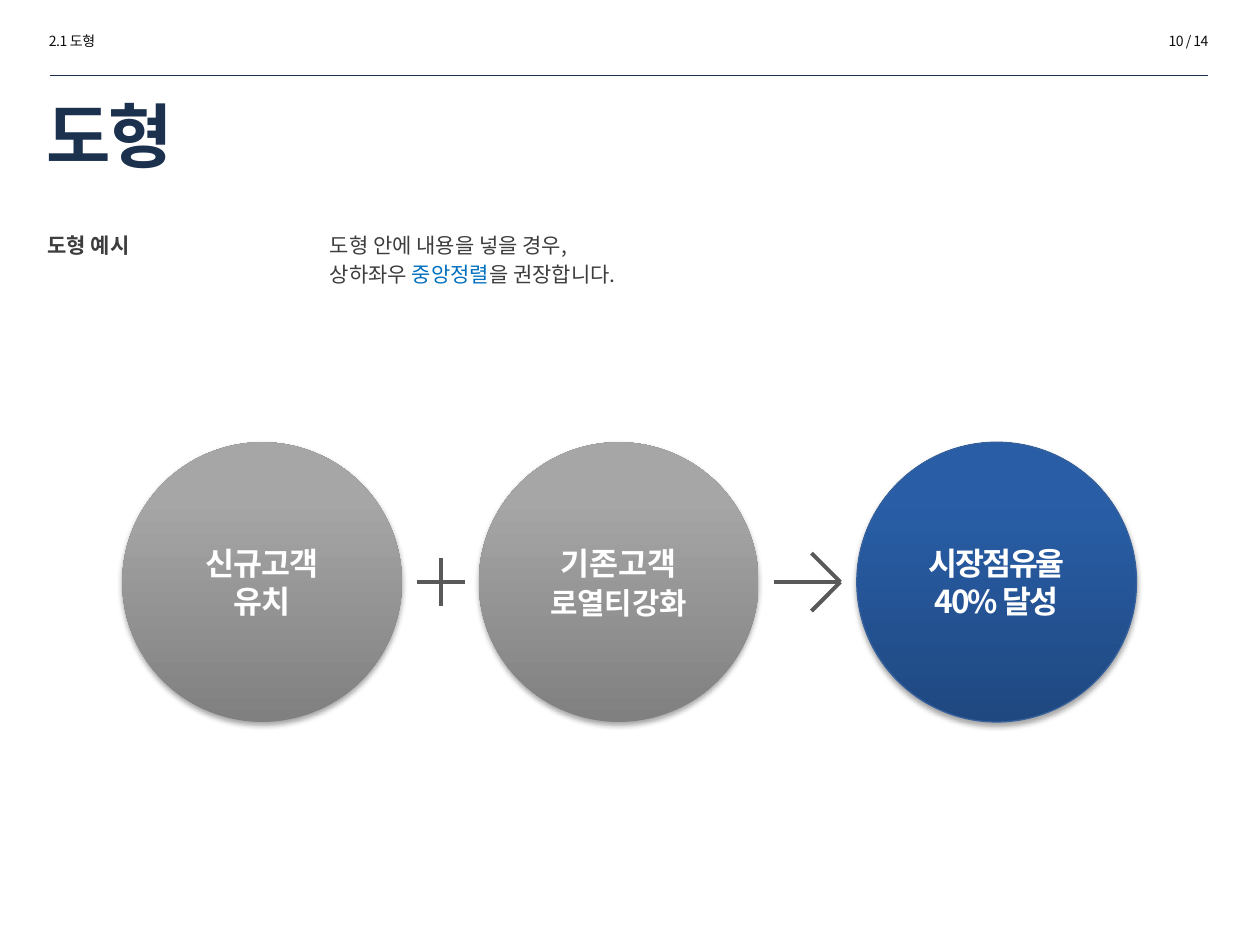
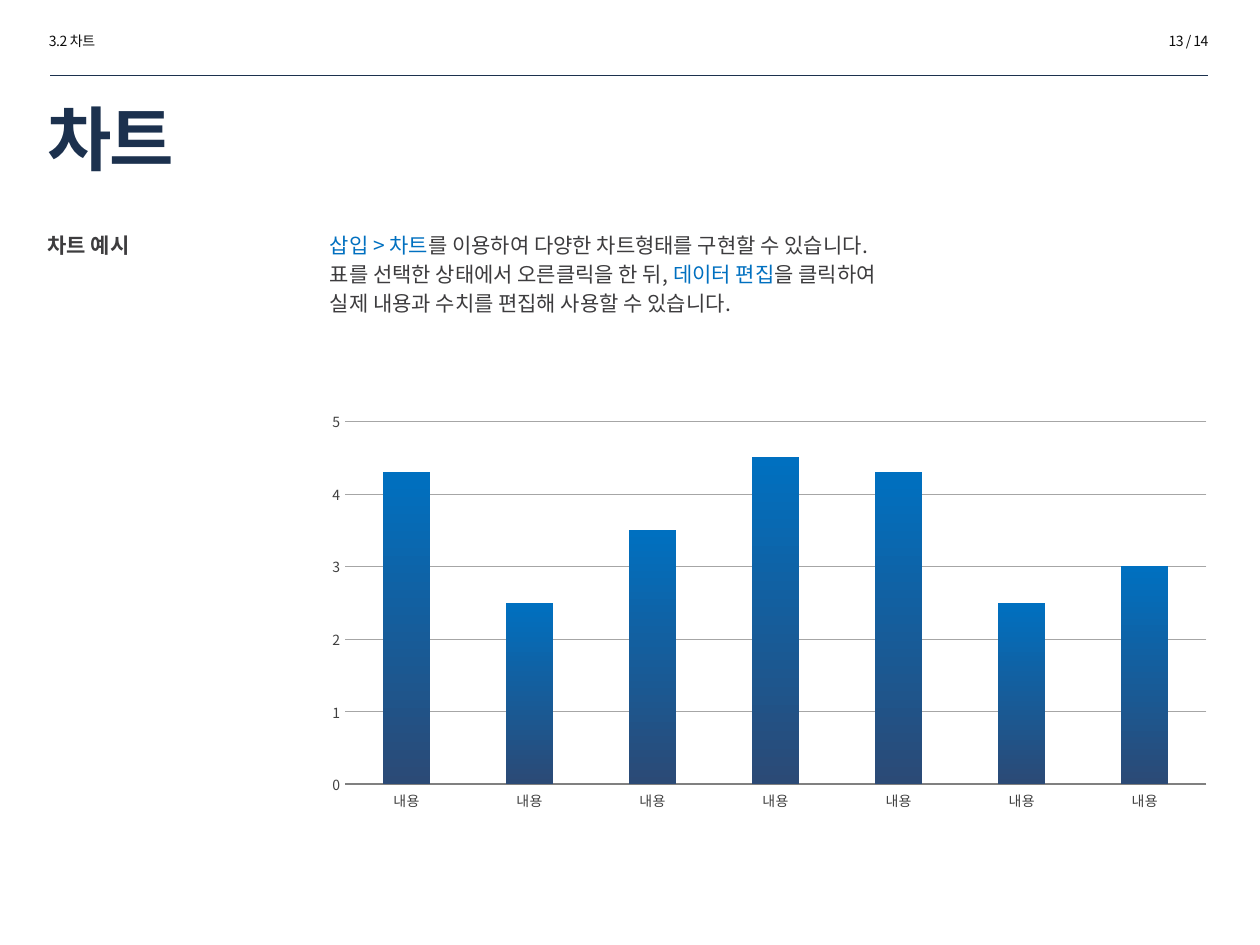
import pptx
import pptx.chart.data
import pptx.dml.color
import pptx.enum.chart
import pptx.enum.shapes
import pptx.enum.text
import pptx.oxml
import pptx.oxml.ns
import pptx.util
from lxml import etree

Inches = pptx.util.Inches
Pt = pptx.util.Pt
RGBColor = pptx.dml.color.RGBColor
Align = pptx.enum.text.PP_ALIGN
qn = pptx.oxml.ns.qn

FONT = "Noto Sans CJK KR"
NAVY = RGBColor(0x1C, 0x31, 0x4E)
BODY = RGBColor(0x3D, 0x3C, 0x3E)
ACCENT = RGBColor(0x00, 0x70, 0xC0)
HEADER = RGBColor(0x0D, 0x0D, 0x0D)
SIGN = RGBColor(0x59, 0x59, 0x59)
WHITE = RGBColor(0xFF, 0xFF, 0xFF)
GRAY_DARK = RGBColor(0x80, 0x80, 0x80)
GRAY_LIGHT = RGBColor(0xA6, 0xA6, 0xA6)
BLUE_DARK = RGBColor(0x1F, 0x48, 0x80)
BLUE_LIGHT = RGBColor(0x29, 0x5E, 0xA7)
BLUE_LINE = RGBColor(0x35, 0x60, 0x9C)
BAR_BOTTOM = RGBColor(0x2B, 0x4A, 0x76)
AXIS_TEXT = RGBColor(0x40, 0x40, 0x40)

CIRCLE_TOP = 3.51
CIRCLE_SIZE = 2.22
MIDDLE = CIRCLE_TOP + CIRCLE_SIZE / 2

SHADOW = (
    '<a:effectLst xmlns:a="http://schemas.openxmlformats.org/drawingml/2006/main">'
    '<a:outerShdw blurRad="39400" dist="22900" dir="5400000" rotWithShape="0">'
    '<a:srgbClr val="000000"><a:alpha val="35000"/></a:srgbClr>'
    '</a:outerShdw></a:effectLst>'
)
PLOT_LAYOUT = (
    '<c:layout xmlns:c="http://schemas.openxmlformats.org/drawingml/2006/chart">'
    '<c:manualLayout><c:layoutTarget val="inner"/>'
    '<c:xMode val="edge"/><c:yMode val="edge"/>'
    '<c:x val="0.047"/><c:y val="0.044"/><c:w val="0.944"/><c:h val="0.83"/>'
    '</c:manualLayout></c:layout>'
)


def set_gradient(fill, first, last, last_position, angle):
    fill.gradient()
    fill.gradient_angle = angle
    start, end = fill.gradient_stops
    start.color.rgb, start.position = first, 0
    end.color.rgb, end.position = last, last_position


def set_axis_font(axis):
    axis.major_tick_mark = pptx.enum.chart.XL_TICK_MARK.NONE
    axis.minor_tick_mark = pptx.enum.chart.XL_TICK_MARK.NONE
    font = axis.tick_labels.font
    font.name, font.size, font.color.rgb = FONT, Pt(8), AXIS_TEXT


class Deck:
    def __init__(self):
        self.presentation = pptx.Presentation()
        self.presentation.slide_width = Inches(10)
        self.presentation.slide_height = Inches(7.5)
        self.slide = None

    def add_slide(self, section, page, title, title_box):
        layout = self.presentation.slide_layouts[5]
        self.slide = self.presentation.slides.add_slide(layout)
        self.add_text((0.29, 0.21, 1.73, 0.24), [section], 8, HEADER, spacing=-0.3)
        self.add_text((7.96, 0.21, 1.73, 0.24), [page], 8, HEADER, spacing=-0.3, align=Align.RIGHT)
        self.add_line((0.4, 0.6), (9.59, 0.6), NAVY, 0.25)
        shape = self.slide.shapes.title
        shape.left, shape.top, shape.width, shape.height = map(Inches, title_box)
        shape.text_frame.vertical_anchor = pptx.enum.text.MSO_ANCHOR.MIDDLE
        paragraph = shape.text_frame.paragraphs[0]
        paragraph.add_run().text = title
        self.format_paragraph(paragraph, 40, NAVY, True, -1.5, Align.LEFT)

    def format_paragraph(self, paragraph, size, color, bold=False, spacing=0, align=Align.LEFT):
        paragraph.alignment = align
        font = paragraph.font
        font.name, font.size, font.bold, font.color.rgb = FONT, Pt(size), bold, color
        properties = paragraph._p.get_or_add_pPr().get_or_add_defRPr()
        properties.set("spc", str(round(spacing * 100)))
        etree.SubElement(properties, qn("a:ea")).set("typeface", FONT)

    def add_text(self, box, lines, size, color, bold=False, spacing=0, align=Align.LEFT):
        frame = self.slide.shapes.add_textbox(*map(Inches, box)).text_frame
        frame.word_wrap = True
        for index, line in enumerate(lines):
            paragraph = frame.add_paragraph() if index else frame.paragraphs[0]
            for part, text in enumerate(line.split("*")):
                if text:
                    run = paragraph.add_run()
                    run.text = text
                    if part % 2:
                        run.font.color.rgb = ACCENT
            self.format_paragraph(paragraph, size, color, bold, spacing, align)
        return frame

    def add_description(self, label, lines):
        for left, width, texts, bold in ((0.28, 2.16, [label], True), (2.52, 7.31, lines, False)):
            frame = self.add_text((left, 1.8, width, 1.39), texts, 12, BODY, bold)
            for paragraph in frame.paragraphs:
                paragraph.line_spacing = Pt(14.2)
                paragraph.space_before = Pt(2.4)

    def add_line(self, start, end, color, width):
        connector = self.slide.shapes.add_connector(
            pptx.enum.shapes.MSO_CONNECTOR.STRAIGHT, *map(Inches, start + end))
        connector.line.color.rgb = color
        connector.line.width = Pt(width)
        etree.SubElement(connector._element.spPr, qn("a:effectLst"))

    def add_circle(self, left, lines, dark, light, spacing=0, outline=None):
        shape = self.slide.shapes.add_shape(
            pptx.enum.shapes.MSO_SHAPE.OVAL, Inches(left), Inches(CIRCLE_TOP),
            Inches(CIRCLE_SIZE), Inches(CIRCLE_SIZE))
        set_gradient(shape.fill, dark, light, 0.8, 90)
        if outline:
            shape.line.color.rgb = outline
            shape.line.width = Pt(0.75)
        else:
            shape.line.fill.background()
        shape._element.spPr.append(pptx.oxml.parse_xml(SHADOW))
        frame = shape.text_frame
        frame.vertical_anchor = pptx.enum.text.MSO_ANCHOR.MIDDLE
        for index, (text, size) in enumerate(lines):
            paragraph = frame.add_paragraph() if index else frame.paragraphs[0]
            paragraph.add_run().text = text
            paragraph.line_spacing = Pt(21.7)
            self.format_paragraph(paragraph, size, WHITE, True, spacing, Align.CENTER)

    def add_plus(self, center, arm):
        self.add_line((center - arm, MIDDLE), (center + arm, MIDDLE), SIGN, 2.25)
        self.add_line((center, MIDDLE - arm), (center, MIDDLE + arm), SIGN, 2.25)

    def add_arrow(self, left, tip, head):
        self.add_line((left, MIDDLE), (tip, MIDDLE), SIGN, 2.25)
        for rise in (-head, head):
            self.add_line((tip - head, MIDDLE + rise), (tip, MIDDLE), SIGN, 2.25)

    def add_column_chart(self, box, categories, values):
        data = pptx.chart.data.CategoryChartData()
        data.categories = categories
        data.add_series("Series 1", values)
        chart = self.slide.shapes.add_chart(
            pptx.enum.chart.XL_CHART_TYPE.COLUMN_CLUSTERED, *map(Inches, box), data).chart
        chart.has_legend = False
        chart.has_title = False
        chart.font.name, chart.font.size = FONT, Pt(18)
        plot = chart.plots[0]
        plot.gap_width = 160
        plot.vary_by_categories = False
        set_gradient(plot.series[0].format.fill, ACCENT, BAR_BOTTOM, 1, 270)
        set_axis_font(chart.category_axis)
        chart.category_axis.format.line.color.rgb = GRAY_DARK
        chart.category_axis.format.line.width = Pt(0.75)
        axis = chart.value_axis
        set_axis_font(axis)
        axis.minimum_scale, axis.maximum_scale, axis.major_unit = 0, 5, 1
        axis.format.line.fill.background()
        axis.major_gridlines.format.line.color.rgb = GRAY_LIGHT
        axis.major_gridlines.format.line.width = Pt(0.25)
        plot_area = chart._chartSpace.chart.plotArea
        for layout in plot_area.findall(qn("c:layout")):
            plot_area.remove(layout)
        plot_area.insert(0, pptx.oxml.parse_xml(PLOT_LAYOUT))


def main():
    deck = Deck()

    deck.add_slide("2.1 도형", "10 / 14", "도형", (0.27, 0.6, 9.28, 0.94))
    deck.add_description("도형 예시", [
        "도형 안에 내용을 넣을 경우,",
        "상하좌우 *중앙정렬*을 권장합니다.",
    ])
    deck.add_circle(0.97, [("신규고객", 18), ("유치", 18)], GRAY_DARK, GRAY_LIGHT, -0.5)
    deck.add_plus(3.5, 0.19)
    deck.add_circle(3.8, [("기존고객", 18), ("로열티강화", 17)], GRAY_DARK, GRAY_LIGHT)
    deck.add_arrow(6.14, 6.67, 0.23)
    deck.add_circle(6.8, [("시장점유율", 18), ("40% 달성", 18)],
                    BLUE_DARK, BLUE_LIGHT, -1.2, BLUE_LINE)

    deck.add_slide("3.2 차트", "13 / 14", "차트", (0.28, 0.77, 7.65, 0.64))
    deck.add_description("차트 예시", [
        "*삽입 > 차트*를 이용하여 다양한 차트형태를 구현할 수 있습니다.",
        "표를 선택한 상태에서 오른클릭을 한 뒤, *데이터 편집*을 클릭하여",
        "실제 내용과 수치를 편집해 사용할 수 있습니다.",
    ])
    deck.add_column_chart((2.4, 3.19, 7.24, 3.47), ["내용"] * 7,
                          [4.3, 2.5, 3.5, 4.5, 4.3, 2.5, 3])

    deck.presentation.save("out.pptx")


if __name__ == "__main__":
    main()
